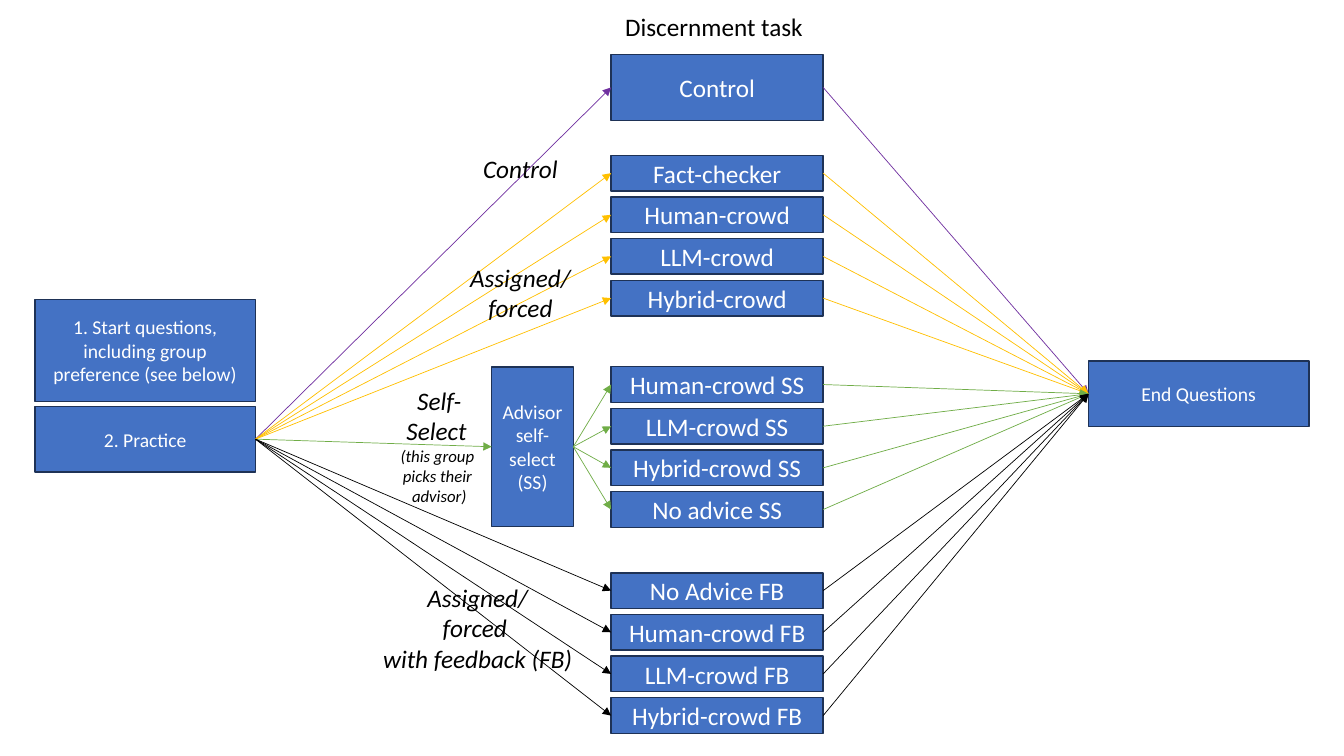
from pptx import Presentation
from pptx import util as u
from pptx.dml.color import RGBColor
from pptx.enum import shapes, text
from pptx.oxml import ns
from lxml import etree

COLORS = {"box": "4472C4", "border": "1E3256", "white": "FFFFFF", "black": "000000",
          "control": "7030A0", "assigned": "FFC000", "select": "70AD47"}
LEFT, RIGHT = 1, 3  # connection sites of a rectangle


class FlowSlide:
    font = "Calibri"

    def __init__(self, prs):
        self.slide = prs.slides.add_slide(prs.slide_layouts[5])

    def color(self, name):
        return RGBColor.from_string(COLORS[name])

    def set_words(self, frame, words, size, color, italic=False, anchor=text.MSO_ANCHOR.TOP):
        frame.text = words
        frame.word_wrap = True
        frame.auto_size = text.MSO_AUTO_SIZE.NONE
        frame.vertical_anchor = anchor
        for paragraph in frame.paragraphs:
            paragraph.alignment = text.PP_ALIGN.CENTER
            for run in paragraph.runs:
                run.font.name = self.font
                run.font.size = u.Pt(size)
                run.font.italic = italic
                run.font.color.rgb = self.color(color)

    def title(self, words, left, top, width, height):
        heading = self.slide.shapes.title
        heading.left, heading.top = u.Pt(left), u.Pt(top)
        heading.width, heading.height = u.Pt(width), u.Pt(height)
        self.set_words(heading.text_frame, words, 18, "black")
        heading.text_frame.paragraphs[0].line_spacing = 1.0

    def box(self, words, left, top, width, height, size=14):
        box = self.slide.shapes.add_shape(
            shapes.MSO_SHAPE.RECTANGLE, u.Pt(left), u.Pt(top), u.Pt(width), u.Pt(height))
        box.shadow.inherit = False
        box.fill.solid()
        box.fill.fore_color.rgb = self.color("box")
        box.line.color.rgb = self.color("border")
        box.line.width = u.Pt(1)
        self.set_words(box.text_frame, words, size, "white", anchor=text.MSO_ANCHOR.MIDDLE)
        return box

    def label(self, words, left, top, width, height):
        label = self.slide.shapes.add_textbox(u.Pt(left), u.Pt(top), u.Pt(width), u.Pt(height))
        self.set_words(label.text_frame, words, 18, "black", italic=True)
        return label

    def arrow(self, source, target, color):
        arrow = self.slide.shapes.add_connector(
            shapes.MSO_CONNECTOR.STRAIGHT, u.Pt(0), u.Pt(0), u.Pt(0), u.Pt(0))
        arrow.begin_connect(source, RIGHT)
        arrow.end_connect(target, LEFT)
        arrow.line.color.rgb = self.color(color)
        arrow.line.width = u.Pt(0.5)
        properties = arrow._element.spPr
        line = properties.find(ns.qn("a:ln"))
        etree.SubElement(line, ns.qn("a:tailEnd"), type="triangle")
        etree.SubElement(properties, ns.qn("a:effectLst"))


def main():
    prs = Presentation()
    prs.slide_width, prs.slide_height = u.Pt(960), u.Pt(540)
    flow = FlowSlide(prs)
    flow.title("Discernment task", 396, 4.5, 228, 29)

    # Start, self-selection and end steps
    flow.box("1. Start questions, including group preference (see below)", 25, 214, 157.5, 72.7)
    practice = flow.box("2. Practice", 25, 290.2, 157.5, 47)
    advisor = flow.box("Advisor self-select (SS)", 351.2, 262.2, 58.3, 113.8)
    end = flow.box("End Questions", 777.5, 257.8, 157.5, 47)
    flow.arrow(practice, advisor, "select")

    # Task conditions: source, colour, top of the group, box height, names
    groups = [
        (practice, "control", 39, 47, ["Control"]),
        (practice, "assigned", 111, 25.4,
         ["Fact-checker", "Human-crowd", "LLM-crowd", "Hybrid-crowd"]),
        (advisor, "select", 262, 25.4,
         ["Human-crowd SS", "LLM-crowd SS", "Hybrid-crowd SS", "No advice SS"]),
        (practice, "black", 409.2, 25.4,
         ["No Advice FB", "Human-crowd FB", "LLM-crowd FB", "Hybrid-crowd FB"]),
    ]
    row_pitch = 29.75
    for source, color, top, height, names in groups:
        for row, name in enumerate(names):
            condition = flow.box(name, 436.5, top + row * row_pitch, 151.5, height, 18)
            flow.arrow(source, condition, color)
            flow.arrow(condition, end, color)

    # Branch labels
    flow.label("Control", 282, 106, 179.5, 29)
    flow.label("Assigned/\nforced", 282, 183.5, 179.5, 51)
    flow.label("Assigned/\nforced \nwith feedback (FB)", 251.5, 412.5, 179.5, 72.7)
    self_select = flow.label("Self-\nSelect \n(this group \npicks their \nadvisor)",
                             276, 271.5, 75.6, 94.5)
    for note in self_select.text_frame.paragraphs[2:]:
        note.runs[0].font.size = u.Pt(12)

    prs.save("out.pptx")


if __name__ == "__main__":
    main()
